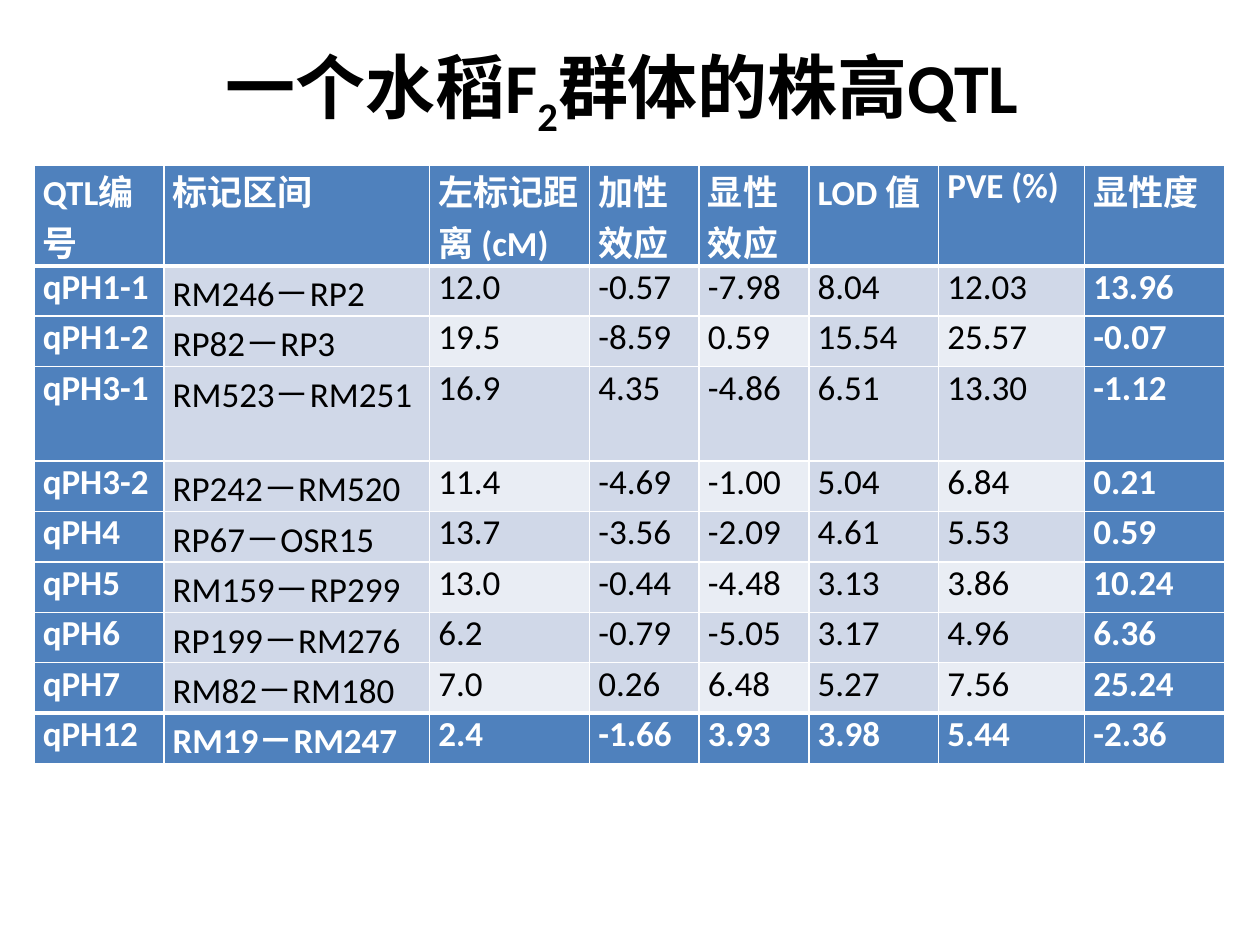
"""Build a slide with a table of plant height QTL in a rice F2 population."""
from typing import NamedTuple

from lxml.etree import SubElement
from pptx import Presentation
from pptx.dml.color import RGBColor
from pptx.enum.text import MSO_ANCHOR, PP_ALIGN
from pptx.oxml.ns import qn
from pptx.util import Inches, Pt

COLORS = {"accent": "4F81BD", "band": "D0D8E8", "light": "E9EDF4",
          "text": "000000", "inverse": "FFFFFF"}
FONT = "Calibri"
THIN, THICK = Pt(1), Pt(3)
ROW_H, HEADER_H, WRAPPED_H = 0.4, 0.8, 0.75
WRAPPED_ROW = 3


class Column(NamedTuple):
    """Heading and width in inches of one table column."""
    heading: str
    width: float


class Qtl(NamedTuple):
    """Values of one QTL as they show in the table."""
    name: str
    interval: str
    distance: str
    additive: str
    dominance: str
    lod: str
    pve: str
    degree: str


COLUMNS = [
    Column("QTL编号", 1.03), Column("标记区间", 2.11),
    Column("左标记距离 (cM)", 1.27), Column("加性效应", 0.87),
    Column("显性效应", 0.87), Column("LOD 值", 1.03),
    Column("PVE (%)", 1.16), Column("显性度", 1.11),
]
QTLS = [
    Qtl("qPH1-1", "RM246－RP2", "12.0", "-0.57", "-7.98", "8.04", "12.03", "13.96"),
    Qtl("qPH1-2", "RP82－RP3", "19.5", "-8.59", "0.59", "15.54", "25.57", "-0.07"),
    Qtl("qPH3-1", "RM523－RM251", "16.9", "4.35", "-4.86", "6.51", "13.30", "-1.12"),
    Qtl("qPH3-2", "RP242－RM520", "11.4", "-4.69", "-1.00", "5.04", "6.84", "0.21"),
    Qtl("qPH4", "RP67－OSR15", "13.7", "-3.56", "-2.09", "4.61", "5.53", "0.59"),
    Qtl("qPH5", "RM159－RP299", "13.0", "-0.44", "-4.48", "3.13", "3.86", "10.24"),
    Qtl("qPH6", "RP199－RM276", "6.2", "-0.79", "-5.05", "3.17", "4.96", "6.36"),
    Qtl("qPH7", "RM82－RM180", "7.0", "0.26", "6.48", "5.27", "7.56", "25.24"),
    Qtl("qPH12", "RM19－RM247", "2.4", "-1.66", "3.93", "3.98", "5.44", "-2.36"),
]


def set_attrs(obj, values: dict) -> None:
    """Set every attribute named in values."""
    for name, value in values.items():
        setattr(obj, name, value)


def add_run(p, text: str, size: int, bold: bool, color: str):
    """Append a formatted run to a paragraph and return it."""
    r = p.add_run()
    r.text = text
    set_attrs(r.font, {"name": FONT, "size": Pt(size), "bold": bold})
    r.font.color.rgb = RGBColor.from_string(COLORS[color])
    return r


def add_title(s) -> None:
    """Add the centred title with its subscript."""
    sp = s.shapes.add_textbox(Inches(0.5), Inches(0.3), Inches(9), Inches(0.85))
    tf = sp.text_frame
    set_attrs(tf, {"word_wrap": True, "vertical_anchor": MSO_ANCHOR.MIDDLE})
    p = tf.paragraphs[0]
    p.alignment = PP_ALIGN.CENTER
    for text, baseline in (("一个水稻F", 0), ("2", -25000), ("群体的株高QTL ", 0)):
        r = add_run(p, text, 40, True, "text")
        if baseline:
            r._r.get_or_add_rPr().set("baseline", str(baseline))


def set_borders(cell, top: int, bottom: int) -> None:
    """Draw white borders around a cell."""
    tc_pr = cell._tc.get_or_add_tcPr()
    for side, width in {"L": THIN, "R": THIN, "T": top, "B": bottom}.items():
        ln = SubElement(tc_pr, qn(f"a:ln{side}"), w=str(int(width)))
        fill = SubElement(ln, qn("a:solidFill"))
        SubElement(fill, qn("a:srgbClr"), val=COLORS["inverse"])


def cell_fill(row: int, col: int) -> str:
    """Return the colour name of a cell: accent frame, banded body."""
    if row in (0, len(QTLS)) or col in (0, len(COLUMNS) - 1):
        return "accent"
    return "band" if row % 2 or col % 2 else "light"


def fill_cell(cell, text: str, row: int, col: int) -> None:
    """Write and format one table cell."""
    last = len(QTLS)
    set_borders(cell, THICK if row in (1, last) else THIN,
                THICK if row in (0, last - 1) else THIN)
    fill = cell_fill(row, col)
    cell.fill.solid()
    cell.fill.fore_color.rgb = RGBColor.from_string(COLORS[fill])
    set_attrs(cell, {"margin_left": Inches(0.07), "margin_right": Inches(0.07),
                     "margin_top": 0, "margin_bottom": 0})
    framed = fill == "accent"
    add_run(cell.text_frame.paragraphs[0], text, 20, framed,
            "inverse" if framed else "text")


def add_qtl_table(s) -> None:
    """Add the table with one row for each QTL."""
    rows = [[c.heading for c in COLUMNS], *QTLS]
    heights = [ROW_H] * len(rows)
    heights[0], heights[WRAPPED_ROW] = HEADER_H, WRAPPED_H
    table = s.shapes.add_table(
        len(rows), len(COLUMNS), Inches(0.27), Inches(1.31),
        Inches(sum(c.width for c in COLUMNS)), Inches(sum(heights))).table
    set_attrs(table, {"first_col": True, "last_col": True, "last_row": True})
    for col, column in enumerate(COLUMNS):
        table.columns[col].width = Inches(column.width)
    for row, values in enumerate(rows):
        table.rows[row].height = Inches(heights[row])
        for col, text in enumerate(values):
            fill_cell(table.cell(row, col), text, row, col)


def main() -> None:
    """Build and save the slide."""
    prs = Presentation()
    set_attrs(prs, {"slide_width": Inches(10), "slide_height": Inches(7.5)})
    s = prs.slides.add_slide(prs.slide_layouts[6])
    add_title(s)
    add_qtl_table(s)
    prs.save("out.pptx")


if __name__ == "__main__":
    main()
